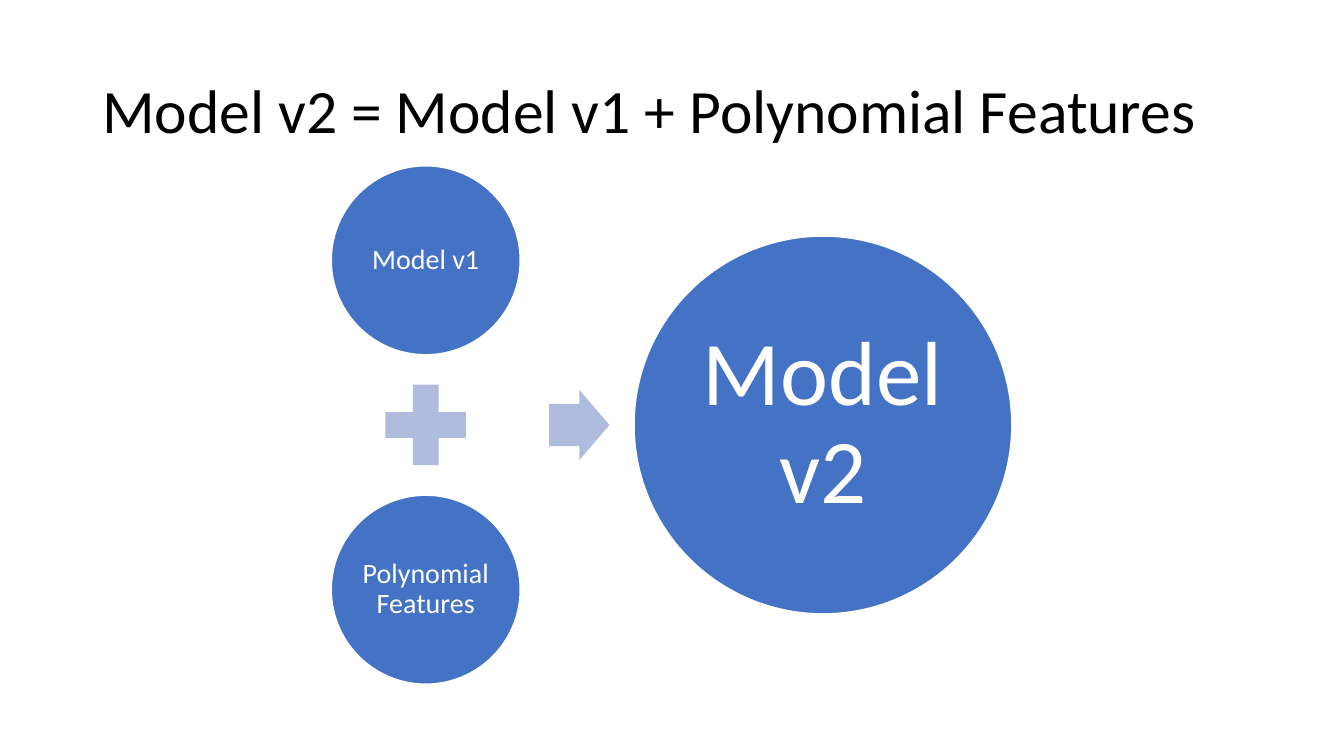
from pptx import Presentation
from pptx.dml.color import RGBColor
from pptx.enum.shapes import MSO_SHAPE as Preset
from pptx.enum.text import MSO_ANCHOR as Anchor, PP_ALIGN as Align
from pptx.util import Cm, Pt

FONT = "Calibri"
BLUE, PALE, WHITE, BLACK = "4472C4", "B0BCDE", "FFFFFF", "000000"
MIDDLE = 10.71
INPUT_X = 10.73
INPUT_STEP = 4.15


def colour(value):
    """Turn a hex string into a colour."""
    return RGBColor.from_string(value)


def write(box, text, size, ink, align, inset):
    """Put one vertically centred paragraph into a box."""
    frame = box.text_frame
    frame.word_wrap = True
    frame.vertical_anchor = Anchor.MIDDLE
    frame.margin_left = frame.margin_right = Cm(inset)
    frame.margin_top = frame.margin_bottom = Cm(inset)
    para = frame.paragraphs[0]
    para.text = text
    para.alignment = align
    para.line_spacing = 0.9
    para.font.name = FONT
    para.font.size = Pt(size)
    para.font.color.rgb = colour(ink)


def add_title(page, text):
    """Add the slide title."""
    box = page.shapes.add_textbox(Cm(2.33), Cm(1.01), Cm(29.21), Cm(3.68))
    write(box, text, 44, BLACK, Align.LEFT, 0.25)


def add_centred(page, preset, x, y, width, height, fill):
    """Add a filled preset shape around a centre point."""
    shape = page.shapes.add_shape(
        preset, Cm(x - width / 2), Cm(y - height / 2), Cm(width), Cm(height))
    shape.shadow.inherit = False
    shape.fill.solid()
    shape.fill.fore_color.rgb = colour(fill)
    shape.line.fill.background()
    return shape


def add_circle(page, text, x, y, diameter, size, inset):
    """Add a labelled circle with a thin white outline."""
    circle = add_centred(page, Preset.OVAL, x, y, diameter, diameter, BLUE)
    circle.line.color.rgb = colour(WHITE)
    circle.line.width = Pt(1)
    write(circle, text, size, WHITE, Align.CENTER, inset)


def main():
    """Build the slide and save it."""
    deck = Presentation()
    deck.slide_width, deck.slide_height = Cm(33.87), Cm(19.05)
    page = deck.slides.add_slide(deck.slide_layouts[6])
    add_title(page, "Model v2 = Model v1 + Polynomial Features")
    for side, label in ((-1, "Model v1"), (1, "Polynomial Features")):
        add_circle(page, label, INPUT_X, MIDDLE + side * INPUT_STEP, 4.76, 20, 0.07)
    add_centred(page, Preset.MATH_PLUS, INPUT_X, MIDDLE, 2.76, 2.76, PALE)
    arrow = add_centred(page, Preset.RIGHT_ARROW, 14.6, MIDDLE, 1.52, 1.77, PALE)
    arrow.adjustments[0] = 0.6
    arrow.adjustments[1] = 0.5
    add_circle(page, "Model v2", 20.74, MIDDLE, 9.52, 65, 0.23)
    deck.save("out.pptx")


if __name__ == "__main__":
    main()
